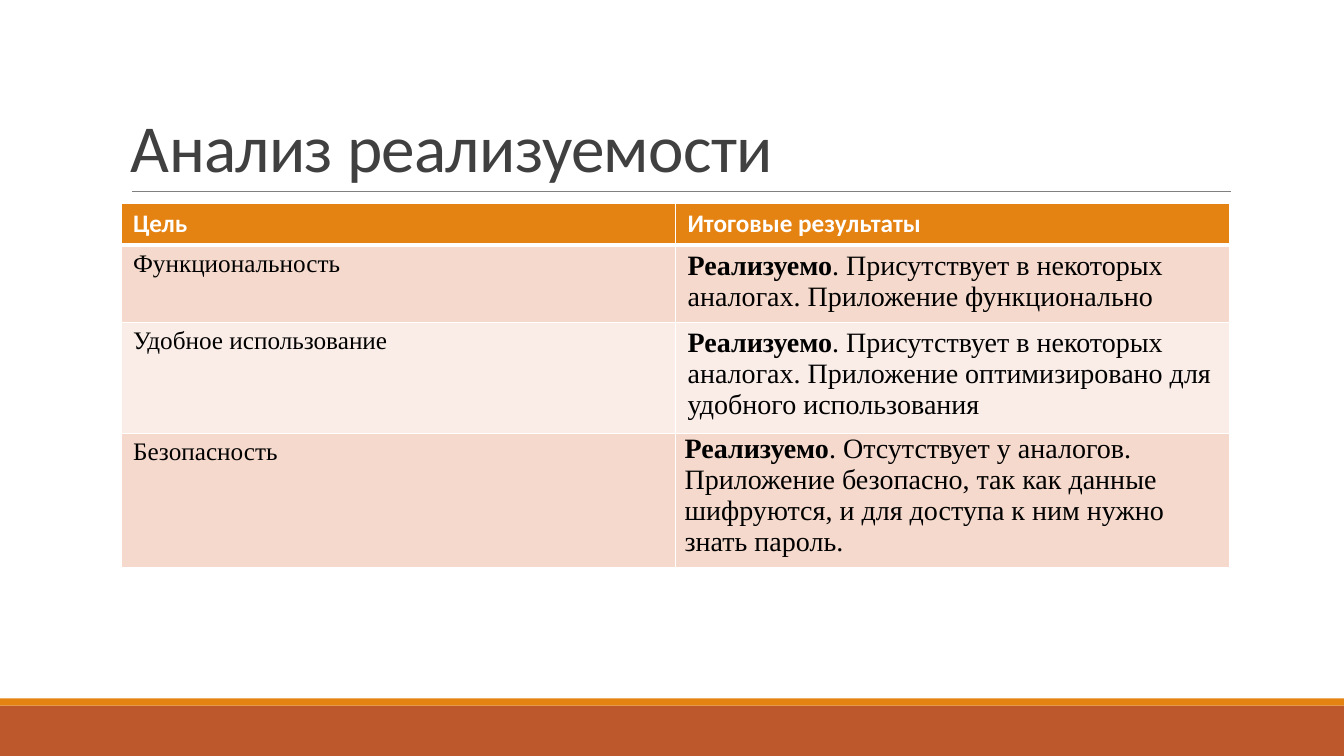
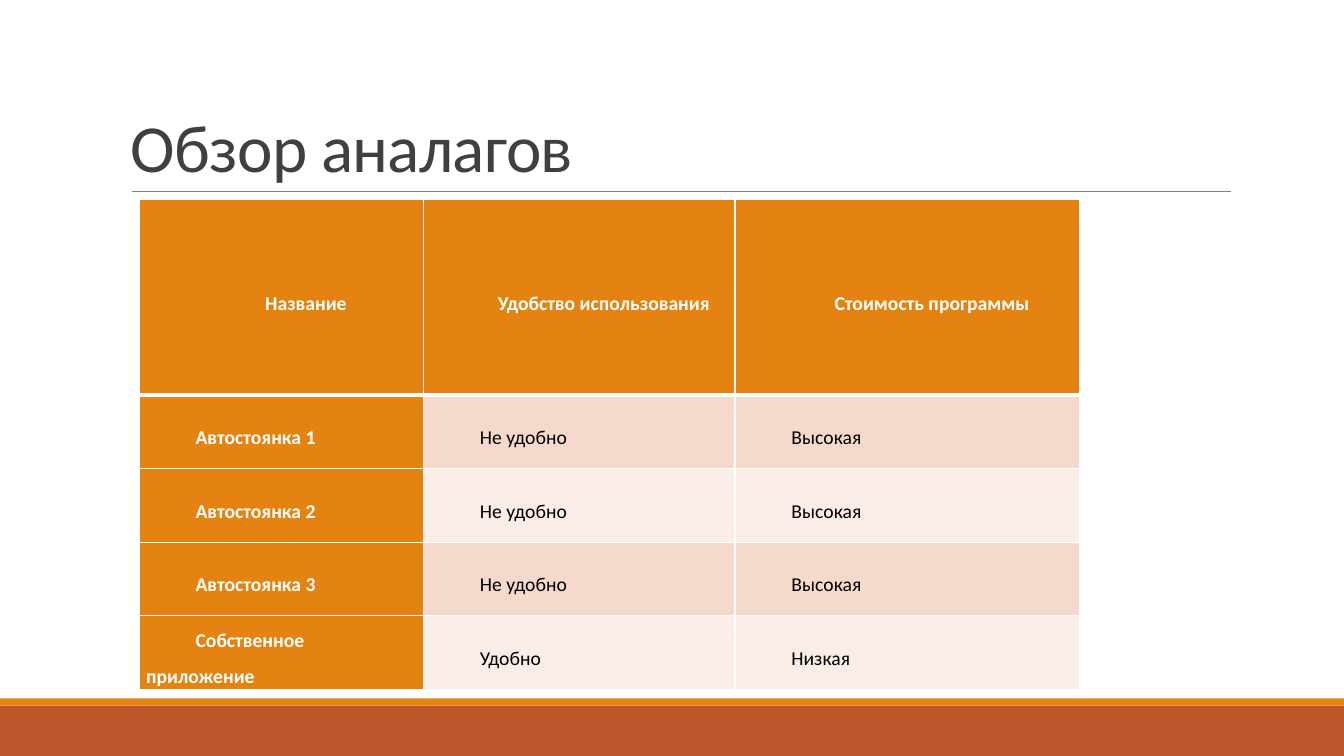
import pptx
import pptx.util
import pptx.dml.color
import pptx.enum.shapes
import pptx.enum.text
from lxml import etree
from pptx.oxml.ns import qn

Inches, Pt = pptx.util.Inches, pptx.util.Pt
ALIGN = pptx.enum.text.PP_ALIGN
ANCHOR = pptx.enum.text.MSO_ANCHOR

WIDTH, HEIGHT = 13.33, 7.5
ORANGE, RUST, GREY, DARK = "E48312", "BD582C", "808080", "404040"
WHITE, BLACK = "FFFFFF", "000000"
STRIPES = ("F5D9CC", "FAEDE7")
SANS, SERIF = "Calibri", "Times New Roman"

FEASIBLE = "Реализуемо"
GOALS_HEADER = ("Цель", "Итоговые результаты")
# goal, then the lines that follow the bold verdict
GOALS = [
    ("Функциональность",
     [". Присутствует в некоторых", "аналогах. Приложение функционально"]),
    ("Удобное использование",
     [". Присутствует в некоторых", "аналогах. Приложение оптимизировано для",
      "удобного использования"]),
    ("Безопасность",
     [". Отсутствует у аналогов.",
      "Приложение безопасно, так как данные шифруются, и для доступа к ним нужно знать пароль."]),
]
ANALOGUES = [
    ("Название", "Удобство использования", "Стоимость программы"),
    ("Автостоянка 1", "Не удобно", "Высокая"),
    ("Автостоянка 2", "Не удобно", "Высокая"),
    ("Автостоянка 3", "Не удобно", "Высокая"),
    ("Собственное приложение", "Удобно", "Низкая"),
]


def color(code):
    return pptx.dml.color.RGBColor.from_string(code)


def add_span(para, text, size=18, font=SANS, ink=BLACK, bold=False, spacing=0):
    span = para.add_run()
    span.text = text
    span.font.size, span.font.name = Pt(size), font
    span.font.bold, span.font.color.rgb = bold, color(ink)
    if spacing:
        span.font._element.set("spc", str(round(spacing * 100)))


def write(frame, lines, align=ALIGN.LEFT, indent=0, leading=None, **style):
    """Fill a text frame; each line is a list of (text, bold) pairs."""
    for number, line in enumerate(lines):
        para = frame.add_paragraph() if number else frame.paragraphs[0]
        para.alignment = align
        if leading:
            para.line_spacing = leading
        if indent:
            properties = para._p.get_or_add_pPr()
            properties.set("marL", "0")
            properties.set("indent", str(Inches(indent)))
        for text, bold in line:
            add_span(para, text, bold=bold, **style)


def add_band(page, top, height, fill):
    band = page.shapes.add_shape(pptx.enum.shapes.MSO_SHAPE.RECTANGLE, 0,
                                 Inches(top), Inches(WIDTH), Inches(height))
    band.shadow.inherit = False
    band.fill.solid()
    band.fill.fore_color.rgb = color(fill)
    band.line.fill.background()


def add_page(deck, title):
    """Add a slide with the shared bands, rule and title."""
    page = deck.slides.add_slide(deck.slide_layouts[6])
    add_band(page, 7, 0.5, RUST)
    add_band(page, 6.93, 0.07, ORANGE)
    rule = page.shapes.add_connector(pptx.enum.shapes.MSO_CONNECTOR.STRAIGHT,
                                     Inches(1.31), Inches(1.9), Inches(12.21), Inches(1.9))
    rule.line.color.rgb, rule.line.width = color(GREY), Pt(0.5)
    etree.SubElement(rule._element.spPr, qn("a:effectLst"))
    box = page.shapes.add_textbox(Inches(1.2), Inches(0.31), Inches(11), Inches(1.59))
    box.text_frame.word_wrap = True
    box.text_frame.vertical_anchor = ANCHOR.BOTTOM
    write(box.text_frame, [[(title, False)]], leading=0.85, size=48, ink=DARK, spacing=-0.5)
    return page


def add_grid(page, left, top, columns, rows):
    table = page.shapes.add_table(len(rows), len(columns), Inches(left), Inches(top),
                                  Inches(sum(columns)), Inches(sum(rows))).table
    for column, width in zip(table.columns, columns):
        column.width = Inches(width)
    for row, height in zip(table.rows, rows):
        row.height = Inches(height)
    return table


def fill_cell(table, row, column, lines, fill, margins, anchor=ANCHOR.MIDDLE, **style):
    cell = table.cell(row, column)
    properties = cell._tc.get_or_add_tcPr()
    widths = {"L": 1, "R": 1, "T": 3 if row == 1 else 1, "B": 3 if row == 0 else 1}
    for side, width in widths.items():
        border = etree.SubElement(properties, qn("a:ln" + side), w=str(Pt(width)))
        solid = etree.SubElement(border, qn("a:solidFill"))
        etree.SubElement(solid, qn("a:srgbClr"), val=WHITE)
    cell.fill.solid()
    cell.fill.fore_color.rgb = color(fill)
    across, down = margins
    cell.margin_left = cell.margin_right = Inches(across)
    cell.margin_top = cell.margin_bottom = Inches(down)
    cell.vertical_anchor = anchor
    write(cell.text_frame, lines, **style)


def build_feasibility(deck):
    page = add_page(deck, "Анализ реализуемости")
    table = add_grid(page, 1.2, 2.02, (5.5, 5.5), (0.41, 0.71, 1.02, 1.23))
    roomy, tight = (0.12, 0.05), (0.09, 0)
    for column, text in enumerate(GOALS_HEADER):
        fill_cell(table, 0, column, [[(text, True)]], ORANGE, roomy, ink=WHITE)
    for row, (goal, (first, *rest)) in enumerate(GOALS, 1):
        fill = STRIPES[(row - 1) % 2]
        verdict = [[(FEASIBLE, True), (first, False)]] + [[(line, False)] for line in rest]
        fill_cell(table, row, 0, [[(goal, False)]], fill, roomy, ANCHOR.TOP, font=SERIF)
        fill_cell(table, row, 1, verdict, fill, tight if row == len(GOALS) else roomy,
                  ANCHOR.TOP, font=SERIF, size=20)


def build_analogues(deck):
    page = add_page(deck, "Обзор аналагов")
    table = add_grid(page, 1.38, 1.98, (2.82, 3.09, 3.42), [1.94] + [0.73] * 4)
    for row, texts in enumerate(ANALOGUES):
        for column, text in enumerate(texts):
            heading = row == 0 or column == 0
            fill_cell(table, row, column, [[(text, heading)]],
                      ORANGE if heading else STRIPES[(row - 1) % 2], (0.07, 0),
                      align=ALIGN.JUSTIFY if row else ALIGN.CENTER, indent=0.49,
                      leading=1.5, size=14, ink=WHITE if heading else BLACK)


def main():
    deck = pptx.Presentation()
    deck.slide_width, deck.slide_height = Inches(WIDTH), Inches(HEIGHT)
    build_feasibility(deck)
    build_analogues(deck)
    deck.save("out.pptx")


if __name__ == "__main__":
    main()
